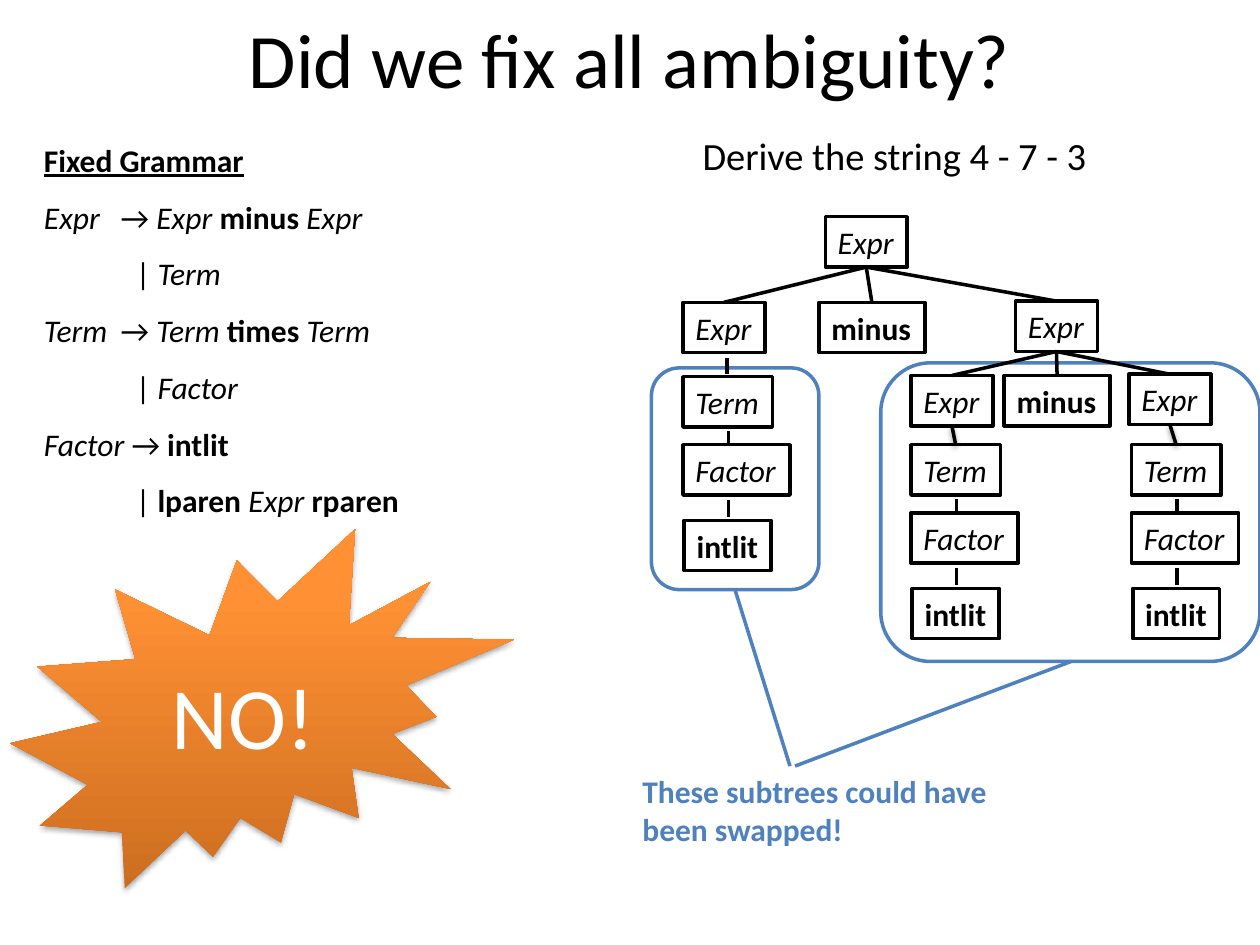
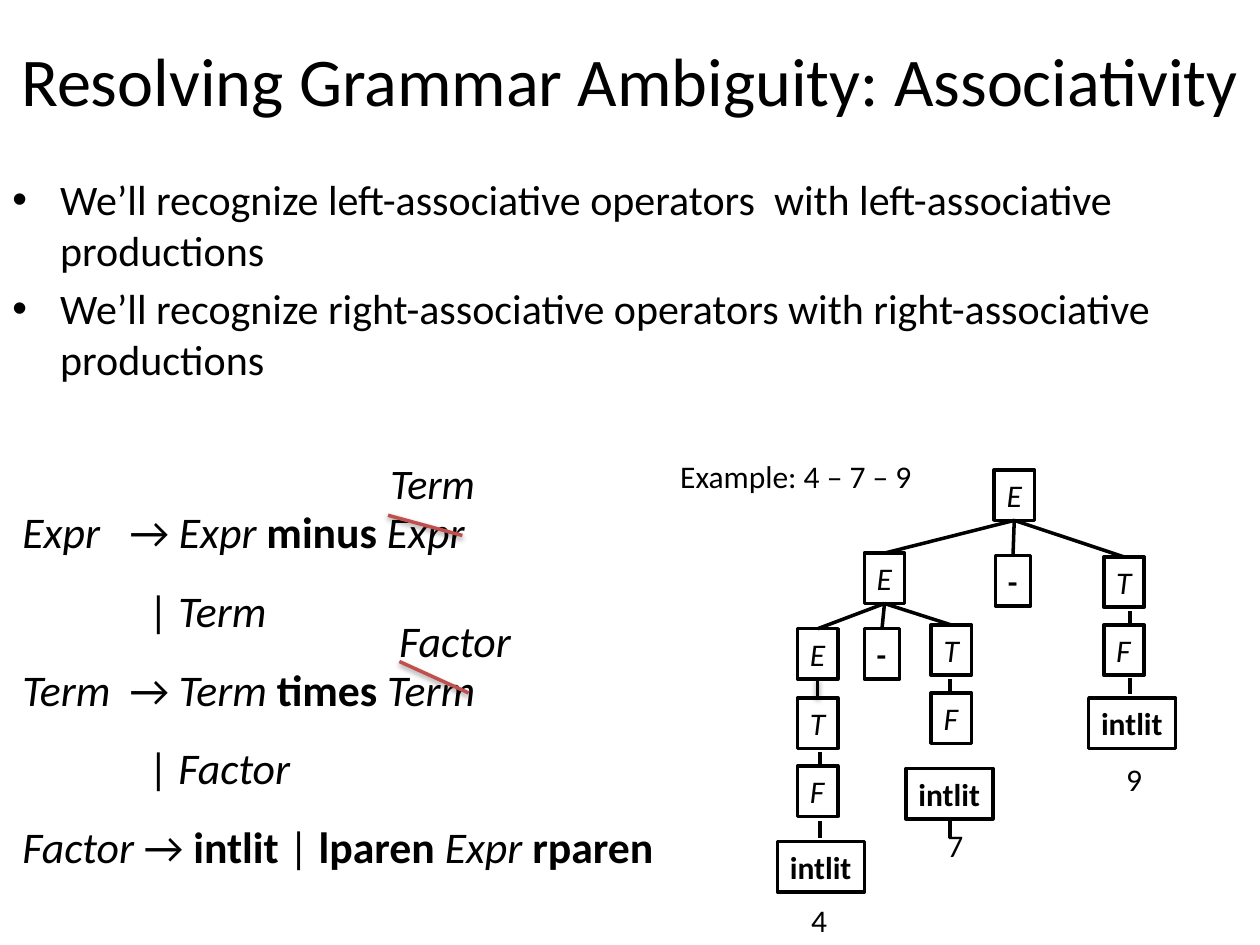
from lxml import etree
from pptx import Presentation
from pptx.dml.color import RGBColor
from pptx.enum.shapes import MSO_CONNECTOR, MSO_SHAPE
from pptx.enum.text import MSO_ANCHOR, MSO_AUTO_SIZE, PP_ALIGN
from pptx.oxml.ns import qn
from pptx.util import Inches, Pt

LINE = MSO_CONNECTOR.STRAIGHT
ROUND, SEAL = MSO_SHAPE.ROUNDED_RECTANGLE, MSO_SHAPE.EXPLOSION2
MIDDLE, TOP = MSO_ANCHOR.MIDDLE, MSO_ANCHOR.TOP
LEFT, CENTER = PP_ALIGN.LEFT, PP_ALIGN.CENTER
GROW = MSO_AUTO_SIZE.SHAPE_TO_FIT_TEXT

FONT = "Calibri"
BLACK, WHITE, BLUE, RED = "000000", "FFFFFF", "4F81BD", "C0504D"
DARK, ORANGE = "CC6E20", "FF9034"

NODE_H = 0.4
WIDTHS = {"Expr": 0.65, "Term": 0.71, "Factor": 0.85, "minus": 0.84,
          "intlit": 0.69, "E": 0.32, "T": 0.32, "F": 0.32, "-": 0.28}


def color(code):
    return RGBColor.from_string(code)


def add(parent, tag, **attrs):
    child = etree.SubElement(parent, qn(tag))
    for key, value in attrs.items():
        child.set(key, str(value))
    return child


class Deck:
    def __init__(self):
        self.prs = Presentation()
        self.prs.slide_width, self.prs.slide_height = Inches(10), Inches(7.5)

    def page(self, title, top, size):
        self.slide = self.prs.slides.add_slide(self.prs.slide_layouts[6])
        self.text(0, top, 10, 1.25, [title], size, align=CENTER,
                  anchor=MIDDLE, wrap=True)

    def style(self, run, size, code=BLACK, bold=False, italic=False):
        font = run.font
        font.name, font.size = FONT, Pt(size)
        font.bold, font.italic = bold, italic
        font.color.rgb = color(code)

    def symbol(self, run, size):
        """Nonterminals are italic, terminals bold, other marks plain."""
        word = run.text.strip()
        self.style(run, size, bold=word.islower() or word == "-",
                   italic=word[0].isupper())

    def effect(self, shape, alpha=0, dist=1.6):
        """Leave the shape without a shadow, or with one of this strength."""
        effects = add(shape._element.spPr, "a:effectLst")
        if alpha:
            shadow = add(effects, "a:outerShdw", blurRad=Pt(3.1),
                         dist=Pt(dist), dir=90 * 60000, rotWithShape=0)
            black = add(shadow, "a:srgbClr", val=BLACK)
            add(black, "a:alpha", val=alpha * 1000)

    def text(self, x, y, w, h, lines, size, code=BLACK, bold=False,
             italic=False, align=LEFT, anchor=TOP, wrap=False):
        box = self.slide.shapes.add_textbox(
            Inches(x), Inches(y), Inches(w), Inches(h))
        frame = box.text_frame
        frame.word_wrap, frame.vertical_anchor = wrap, anchor
        if not wrap:
            frame.auto_size = GROW
        frame.text = "\n".join(lines)
        for para in frame.paragraphs:
            para.alignment = align
            for run in para.runs:
                self.style(run, size, code, bold, italic)
        return box

    def bullets(self, x, y, w, h, lines, size):
        box = self.text(x, y, w, h, lines, size, wrap=True)
        for para in box.text_frame.paragraphs:
            para.space_before = Pt(size * 0.2)
            props = para._p.get_or_add_pPr()
            props.set("marL", str(Inches(0.38)))
            props.set("indent", str(-Inches(0.38)))
            add(props, "a:buFont", typeface="Arial")
            add(props, "a:buChar", char="•")

    def grammar(self, x, y, w, h, rules, size, bar, arrow, head=None):
        """Set rules with tab stops for the bars and the arrows."""
        lines = [head] * bool(head) + [""] * len(rules)
        box = self.text(x, y, w, h, lines, size, bold=True, wrap=True)
        paras = box.text_frame.paragraphs
        for para in paras:
            para.line_spacing = 1.5
        if head:
            paras[0].runs[0].font.underline = True
        for para, rule in zip(paras[-len(rules):], rules):
            stop = bar if rule.startswith("\t") else arrow
            tabs = add(para._p.get_or_add_pPr(), "a:tabLst")
            add(tabs, "a:tab", pos=Inches(stop), algn="l")
            words = rule.split(" ")
            for i, word in enumerate(words):
                run = para.add_run()
                run.text = word + " " * (i < len(words) - 1)
                if word.strip():
                    self.symbol(run, size)

    def line(self, x1, y1, x2, y2, code=BLACK, alpha=0):
        link = self.slide.shapes.add_connector(
            LINE, Inches(x1), Inches(y1), Inches(x2), Inches(y2))
        link.line.color.rgb, link.line.width = color(code), Pt(2)
        self.effect(link, alpha)

    def frame(self, x, y, w, h):
        shape = self.slide.shapes.add_shape(
            ROUND, Inches(x), Inches(y), Inches(w), Inches(h))
        shape.fill.solid()
        shape.fill.fore_color.rgb = color(WHITE)
        shape.line.color.rgb, shape.line.width = color(BLUE), Pt(2)
        self.effect(shape)

    def burst(self, x, y, w, h, text, size):
        shape = self.slide.shapes.add_shape(
            SEAL, Inches(x), Inches(y), Inches(w), Inches(h))
        shape.fill.gradient()
        shape.fill.gradient_angle = 90
        for stop, code, pos in zip(shape.fill.gradient_stops,
                                   (DARK, ORANGE), (0, 0.8)):
            stop.color.rgb, stop.position = color(code), pos
        shape.line.fill.background()
        self.effect(shape, 35, 1.8)
        frame = shape.text_frame
        frame.text, frame.vertical_anchor = text, MIDDLE
        frame.paragraphs[0].alignment = CENTER
        self.style(frame.paragraphs[0].runs[0], size, WHITE)

    def node(self, name, x, y):
        box = self.text(x, y, WIDTHS[name], NODE_H, [name], 18)
        self.symbol(box.text_frame.paragraphs[0].runs[0], 18)
        box.fill.solid()
        box.fill.fore_color.rgb = color(WHITE)
        box.line.color.rgb, box.line.width = color(BLACK), Pt(2)
        return x + WIDTHS[name] / 2, y

    def fan(self, root, kids, alpha=0):
        """Join the bottom of a node to the top of each child."""
        for x, y in kids:
            self.line(root[0], root[1] + NODE_H, x, y, alpha=alpha)

    def chain(self, names, x, y, leaf, stem, drop=1.14, last=0.98):
        """Stack three nodes with short stems between them."""
        for gap in (0.43, last):
            self.line(x + stem, y + gap, x + stem, y + gap + 0.13)
        top = self.node(names[0], x, y)
        self.node(names[1], x, y + 0.54)
        self.node(names[2], x + leaf, y + drop)
        return top


def ambiguity(deck):
    deck.page("Did we fix all ambiguity?", -0.17, 44)
    deck.frame(6.99, 2.88, 3.01, 2.37)
    deck.frame(5.17, 2.92, 1.33, 1.76)
    deck.grammar(0.25, 0.92, 3.25, 3.28, [
        "Expr \t→ Expr minus Expr", "\t| Term",
        "Term \t→ Term times Term", "\t| Factor",
        "Factor → intlit", "\t| lparen Expr rparen",
    ], 18, 0.73, 0.61, "Fixed Grammar")
    deck.text(5.47, 1, 3.26, 0.47, ["Derive the string 4 - 7 - 3"], 22,
              align=CENTER)

    # Upper tree
    root = deck.node("Expr", 6.55, 1.72)
    right = deck.node("Expr", 8.06, 2.39)
    deck.fan(root, [deck.node("Expr", 5.42, 2.4),
                    deck.node("minus", 6.5, 2.4), right])
    kids = [deck.node("Expr", 7.23, 2.98), deck.node("minus", 7.97, 2.98),
            deck.node("Expr", 8.96, 2.97)]
    deck.fan(right, kids)

    # Chains down to the leaves
    names = ("Term", "Factor", "intlit")
    deck.line(5.77, 2.84, 5.77, 2.97)
    deck.chain(names, 5.42, 2.99, 0.01, 0.36)
    for kid, x in ((kids[0], 7.23), (kids[2], 8.98)):
        deck.fan(kid, [deck.chain(names, x, 3.53, 0.01, 0.36)], 38)

    # Verdict and remark
    deck.burst(0.08, 4.2, 4, 2.85, "NO!", 50)
    deck.line(5.83, 4.67, 6.27, 6.08, BLUE)
    deck.line(6.31, 6.08, 8.5, 5.25, BLUE)
    deck.text(5, 6.08, 3.01, 0.71,
              ["These subtrees could have", "been swapped!"], 18, BLUE, True)


def associativity(deck):
    deck.page("Resolving Grammar Ambiguity: Associativity", 0, 39)
    deck.bullets(0, 1.33, 10, 4.95, [
        "We’ll recognize left-associative operators  with left-associative "
        "productions",
        "We’ll recognize right-associative operators with right-associative "
        "productions"], 24)

    # Grammar with its corrections
    deck.grammar(0.08, 3.75, 6, 3.26, [
        "Expr \t→ Expr minus Expr", "\t| Term",
        "Term \t→ Term times Term", "\t| Factor",
        "Factor → intlit | lparen Expr rparen",
    ], 25, 1, 0.85)
    deck.line(3.08, 4.09, 3.67, 4.25, RED, 38)
    deck.text(3, 3.58, 0.89, 0.5, ["Term"], 24, italic=True)
    deck.line(3.17, 5.25, 3.72, 5.5, RED, 38)
    deck.text(3.07, 4.82, 1.1, 0.52, ["Factor"], 25, italic=True)

    # Example tree
    deck.text(5.3, 3.58, 2.06, 0.4, ["Example: 4 – 7 – 9"], 18)
    names = ("T", "F", "intlit")
    root = deck.node("E", 7.89, 3.73)
    left = deck.node("E", 6.86, 4.39)
    deck.fan(root, [left, deck.node("-", 7.9, 4.41),
                    deck.chain(names, 8.76, 4.42, -0.12, 0.21, 1.12, 0.96)])
    inner = deck.node("E", 6.33, 4.99)
    deck.fan(left, [inner, deck.node("-", 6.86, 4.99),
                    deck.chain(names, 7.39, 4.96, -0.2, 0.15, last=1.56)])
    deck.fan(inner, [deck.chain(names, 6.33, 5.54, -0.16, 0.18)], 38)
    for digit, x, y in (("4", 6.34, 7.1), ("7", 7.42, 6.51),
                        ("9", 8.84, 5.98)):
        deck.text(x, y, 0.33, NODE_H, [digit], 18)


def main():
    deck = Deck()
    ambiguity(deck)
    associativity(deck)
    deck.prs.save("out.pptx")


if __name__ == "__main__":
    main()
